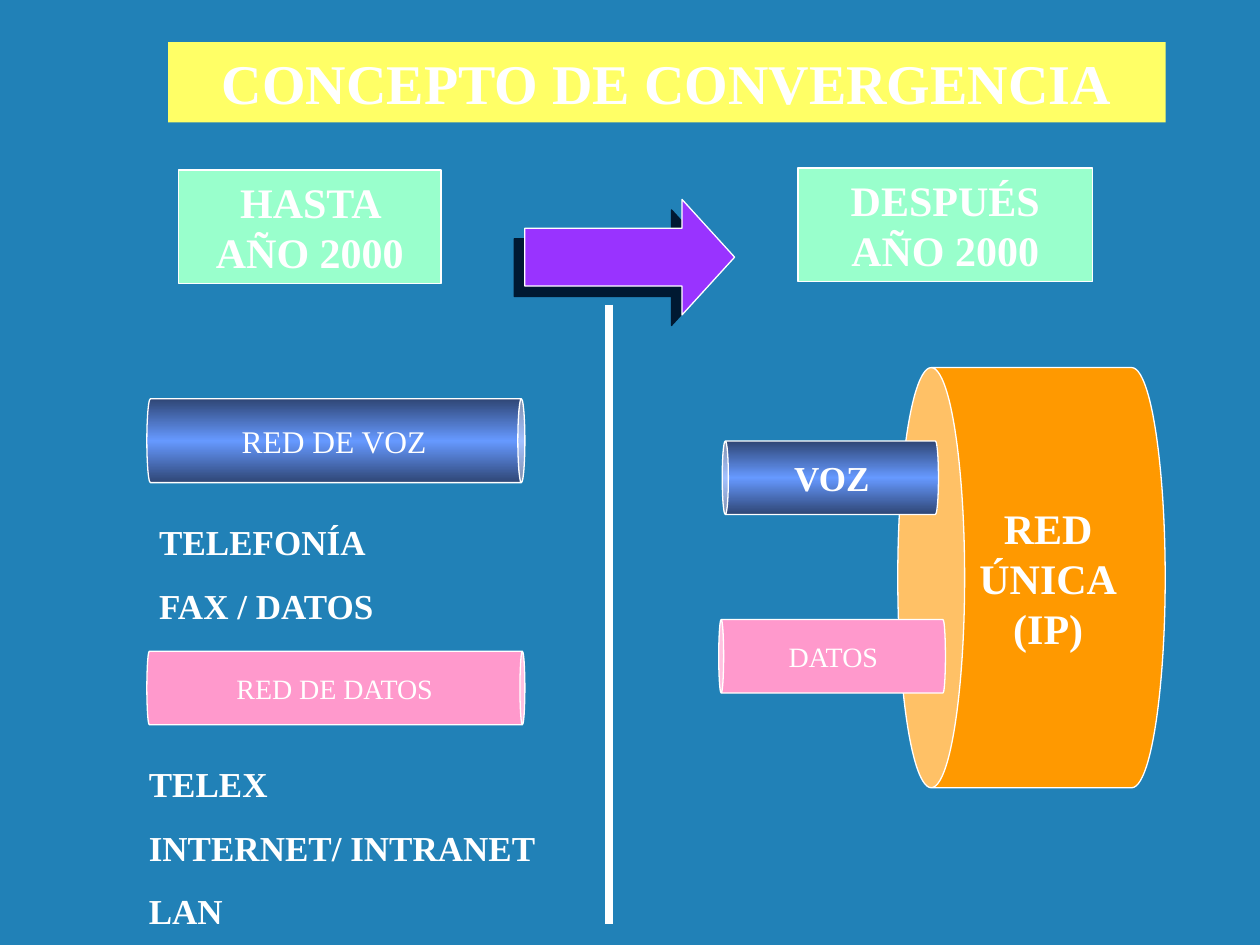
from copy import deepcopy
from dataclasses import dataclass

from lxml import etree
from pptx import Presentation
from pptx.dml.color import RGBColor
from pptx.enum.shapes import MSO_CONNECTOR, MSO_SHAPE
from pptx.enum.text import MSO_ANCHOR, MSO_AUTO_SIZE, PP_ALIGN
from pptx.oxml.ns import qn
from pptx.util import Cm, Pt

RECT, CAN, ARROW = MSO_SHAPE.RECTANGLE, MSO_SHAPE.CAN, MSO_SHAPE.RIGHT_ARROW
STRAIGHT = MSO_CONNECTOR.STRAIGHT
TOP, MIDDLE = MSO_ANCHOR.TOP, MSO_ANCHOR.MIDDLE
GROW = MSO_AUTO_SIZE.SHAPE_TO_FIT_TEXT
LEFT, CENTER = PP_ALIGN.LEFT, PP_ALIGN.CENTER


@dataclass(frozen=True)
class Theme:
    font: str = "Times New Roman"
    back: str = "2181B7"
    white: str = "FFFFFF"
    yellow: str = "FFFF66"
    mint: str = "99FFCC"
    pink: str = "FF99CC"
    orange: str = "FF9900"
    purple: str = "9933FF"
    shade: str = "001932"
    navy: str = "2F4675"
    blue: str = "6699FF"
    title: int = 32
    head: int = 24
    list: int = 20
    pipe: int = 18
    small: int = 16
    thin: float = 0.75
    thick: float = 4.5
    gap: float = 12.5


THEME = Theme()


@dataclass(frozen=True)
class Box:
    """Place on the slide in centimetres."""
    left: float
    top: float
    width: float
    height: float

    def lengths(self) -> tuple:
        return Cm(self.left), Cm(self.top), Cm(self.width), Cm(self.height)

    def upright(self) -> "Box":
        """The box before a quarter turn about its centre."""
        shift = (self.width - self.height) / 2
        return Box(self.left + shift, self.top - shift, self.height, self.width)


@dataclass(frozen=True)
class Label:
    box: Box
    text: str
    fill: str
    size: int
    edge: bool = True


@dataclass(frozen=True)
class Pipe:
    """A lying can; its lid faces right or left. No fill means a gradient."""
    box: Box
    lines: tuple
    size: int
    adjust: float
    fill: str = ""
    bold: bool = False
    right: bool = False


@dataclass(frozen=True)
class Notes:
    box: Box
    lines: tuple


LABELS = (
    Label(Box(3.39, 0.85, 20.11, 1.62), "CONCEPTO DE CONVERGENCIA",
          THEME.yellow, THEME.title, edge=False),
    Label(Box(3.6, 3.43, 5.29, 2.29), "HASTA AÑO 2000", THEME.mint, THEME.head),
    Label(Box(16.09, 3.39, 5.93, 2.29), "DESPUÉS AÑO 2000", THEME.mint, THEME.head),
)
PIPES = (
    Pipe(Box(2.96, 8.04, 7.62, 1.69), ("RED DE VOZ",), THEME.pipe, 0.084, right=True),
    Pipe(Box(2.96, 13.13, 7.62, 1.48), ("RED DE DATOS",), THEME.small, 0.067,
         THEME.pink, right=True),
    Pipe(Box(18.1, 7.41, 5.39, 8.47), ("RED", "ÚNICA", "(IP)"), THEME.head, 0.25,
         THEME.orange, bold=True),
    Pipe(Box(14.56, 8.89, 4.36, 1.48), ("VOZ",), THEME.list, 0.084, bold=True),
    Pipe(Box(14.49, 12.49, 4.57, 1.48), ("DATOS",), THEME.small, 0.067, THEME.pink),
)
NOTES = (
    Notes(Box(2.75, 15.24, 9.1, 3.68), ("TELEX", "INTERNET/ INTRANET", "LAN")),
    Notes(Box(2.96, 10.37, 6.77, 2.4), ("TELEFONÍA", "FAX / DATOS")),
)
SIGN = Box(10.58, 4.02, 4.23, 2.33)


def color(code: str) -> RGBColor:
    return RGBColor.from_string(code)


def write(frame, lines: tuple, size: int, bold: bool, align, gap: float = 0) -> None:
    for i, line in enumerate(lines):
        para = frame.add_paragraph() if i else frame.paragraphs[0]
        para.text = line
        para.alignment = align
        if i and gap:
            para.space_before = Pt(gap)
        font = para.font
        font.name, font.size, font.bold = THEME.font, Pt(size), bold
        font.color.rgb = color(THEME.white)


def add_form(slide, kind, box: Box, fill: str, edge: bool = True):
    form = slide.shapes.add_shape(kind, *box.lengths())
    form.shadow.inherit = False
    if fill:
        form.fill.solid()
        form.fill.fore_color.rgb = color(fill)
    else:
        shine(form.fill, form)
    if edge:
        form.line.color.rgb = color(THEME.white)
        form.line.width = Pt(THEME.thin)
    else:
        form.line.fill.background()
    return form


def shine(fill, form) -> None:
    """Fill with a bright band between two dark edges."""
    fill.gradient()
    fill.gradient_angle = 0
    stops = form._element.spPr.find(qn("a:gradFill")).find(qn("a:gsLst"))
    stops.append(deepcopy(stops[0]))
    shades = (THEME.navy, THEME.blue, THEME.navy)
    for stop, shade, place in zip(fill.gradient_stops, shades, (0, 0.5, 1)):
        stop.color.rgb = color(shade)
        stop.position = place


def add_label(slide, label: Label) -> None:
    form = add_form(slide, RECT, label.box, label.fill, label.edge)
    frame = form.text_frame
    frame.word_wrap, frame.auto_size = True, GROW
    frame.vertical_anchor = TOP
    write(frame, (label.text,), label.size, True, CENTER)


def add_pipe(slide, pipe: Pipe) -> None:
    form = add_form(slide, CAN, pipe.box.upright(), pipe.fill)
    form.adjustments[0] = pipe.adjust
    form.rotation = 90 if pipe.right else 270
    frame = form.text_frame
    frame.word_wrap = False
    frame.vertical_anchor = MIDDLE
    frame.margin_left = frame.margin_right = Cm(0.13)
    frame.margin_top = frame.margin_bottom = Cm(0.25)
    frame._txBody.bodyPr.set("vert", "vert270" if pipe.right else "vert")
    write(frame, pipe.lines, pipe.size, pipe.bold, CENTER)


def add_notes(slide, notes: Notes) -> None:
    frame = slide.shapes.add_textbox(*notes.box.lengths()).text_frame
    frame.word_wrap, frame.auto_size = True, GROW
    write(frame, notes.lines, THEME.list, True, LEFT, THEME.gap)


def add_sign(slide) -> None:
    form = add_form(slide, ARROW, SIGN, THEME.purple)
    form.adjustments[0], form.adjustments[1] = 0.5, 0.455
    effects = form._element.spPr.find(qn("a:effectLst"))
    shadow = etree.SubElement(effects, qn("a:outerShdw"), dist=str(Pt(8.5)),
                              dir=str(135 * 60000), algn="ctr", rotWithShape="0")
    etree.SubElement(shadow, qn("a:srgbClr"), val=THEME.shade)


def add_rule(slide) -> None:
    rule = slide.shapes.add_connector(STRAIGHT, Cm(12.28), Cm(6.14), Cm(12.28), Cm(18.63))
    rule.line.color.rgb = color(THEME.white)
    rule.line.width = Pt(THEME.thick)
    etree.SubElement(rule._element.spPr, qn("a:effectLst"))


def main() -> None:
    deck = Presentation()
    deck.slide_width, deck.slide_height = Cm(25.4), Cm(19.05)
    slide = deck.slides.add_slide(deck.slide_layouts[6])
    slide.background.fill.solid()
    slide.background.fill.fore_color.rgb = color(THEME.back)
    add_rule(slide)
    for label in LABELS:
        add_label(slide, label)
    for pipe in PIPES:
        add_pipe(slide, pipe)
    add_sign(slide)
    for notes in NOTES:
        add_notes(slide, notes)
    deck.save("out.pptx")


if __name__ == "__main__":
    main()
